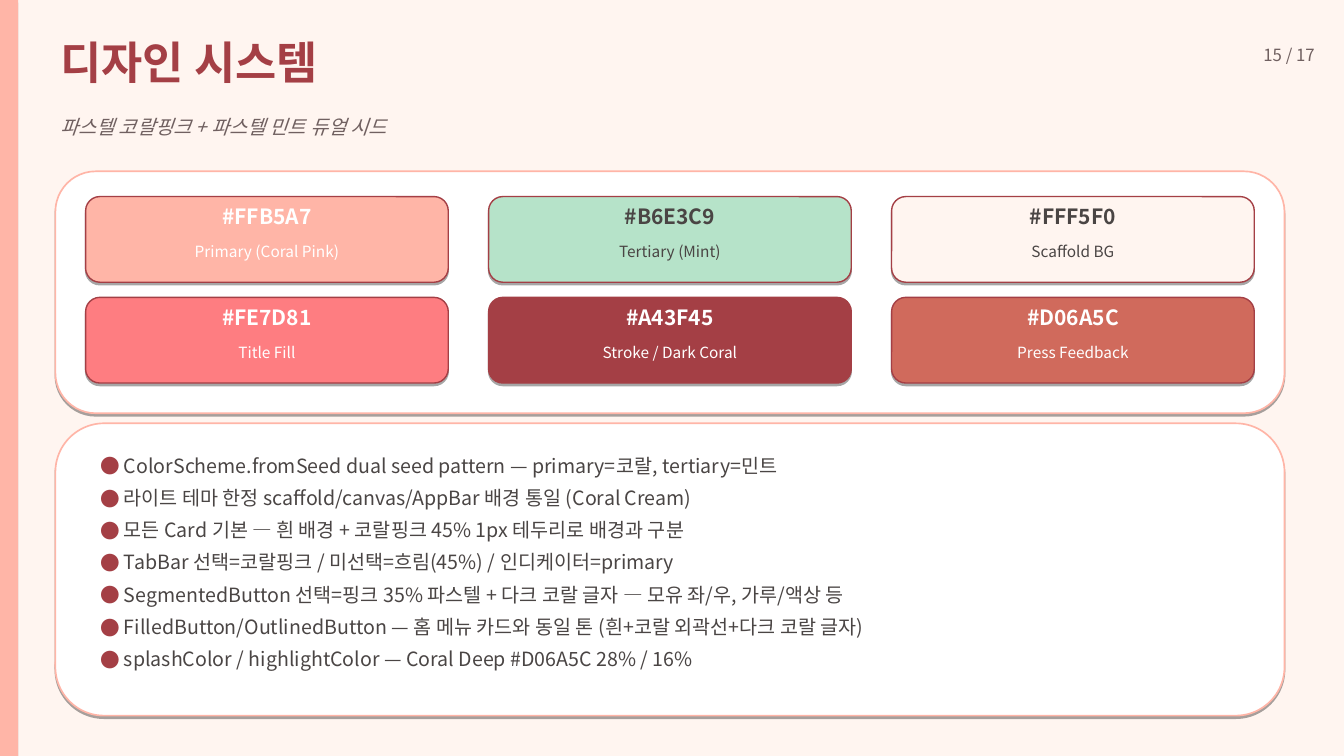
from dataclasses import dataclass

from lxml.etree import SubElement
from pptx import Presentation
from pptx.dml.color import RGBColor
from pptx.enum.shapes import MSO_SHAPE
from pptx.enum.text import MSO_ANCHOR, MSO_AUTO_SIZE, PP_ALIGN
from pptx.oxml.ns import qn
from pptx.util import Inches, Pt


@dataclass(frozen=True)
class Theme:
    """Colours, font and type sizes of the deck."""
    font: str = "Noto Sans CJK KR"
    cream: str = "FFF5F0"
    pink: str = "FFB5A7"
    mint: str = "B6E3C9"
    title_fill: str = "FE7D81"
    dark_coral: str = "A43F45"
    press: str = "D06A5C"
    white: str = "FFFFFF"
    ink: str = "4A4544"
    muted: str = "706060"
    shadow: str = "000000"
    title_size: float = 32
    code_size: float = 15
    body_size: float = 14
    page_size: float = 12
    role_size: float = 11


class DesignSlide:
    """Draws themed elements on the current slide."""

    def __init__(self, deck, theme):
        """Add a title-only slide with the theme background."""
        self.theme = theme
        self.slide = deck.slides.add_slide(deck.slide_layouts[5])
        self.slide.background.fill.solid()
        self.slide.background.fill.fore_color.rgb = RGBColor.from_string(theme.cream)

    def place(self, shape, left, top, width, height):
        """Set the position and size of a shape in inches."""
        shape.left, shape.top = Inches(left), Inches(top)
        shape.width, shape.height = Inches(width), Inches(height)

    def frame(self, shape, inset_y=0.02):
        """Prepare a text frame and return it."""
        frame = shape.text_frame
        frame.word_wrap = True
        frame.auto_size = MSO_AUTO_SIZE.SHAPE_TO_FIT_TEXT
        frame.vertical_anchor = MSO_ANCHOR.TOP
        frame.margin_left = frame.margin_right = Inches(0.05)
        frame.margin_top = frame.margin_bottom = Inches(inset_y)
        return frame

    def add_text(self, paragraph, text, size, colour, bold=False, italic=False):
        """Add one styled run to a paragraph."""
        run = paragraph.add_run()
        run.text = text
        font = run.font
        font.name, font.size = self.theme.font, Pt(size)
        font.bold, font.italic = bold, italic
        font.color.rgb = RGBColor.from_string(colour)
        SubElement(font._element, qn("a:ea"), typeface=self.theme.font)

    def title(self, text, *box):
        """Fill and move the title placeholder."""
        heading = self.slide.shapes.title
        self.place(heading, *box)
        paragraph = self.frame(heading).paragraphs[0]
        paragraph.alignment = PP_ALIGN.LEFT
        self.add_text(paragraph, text, self.theme.title_size, self.theme.dark_coral, bold=True)

    def label(self, text, box, size, colour, align=PP_ALIGN.LEFT, **style):
        """Add a one-line text box."""
        holder = self.slide.shapes.add_textbox(*map(Inches, box))
        paragraph = self.frame(holder).paragraphs[0]
        paragraph.alignment = align
        self.add_text(paragraph, text, size, colour, **style)

    def panel(self, kind, box, fill, line=None, weight=1.0):
        """Add a filled shape with a drop shadow."""
        panel = self.slide.shapes.add_shape(kind, *map(Inches, box))
        panel.fill.solid()
        panel.fill.fore_color.rgb = RGBColor.from_string(fill)
        if line:
            panel.line.color.rgb = RGBColor.from_string(line)
            panel.line.width = Pt(weight)
        else:
            panel.line.fill.background()
        panel.shadow.inherit = False
        effects = panel._element.spPr.find(qn("a:effectLst"))
        shadow = SubElement(effects, qn("a:outerShdw"), blurRad="0",
                            dist=str(Pt(1.8)), dir="5400000", rotWithShape="0")
        tone = SubElement(shadow, qn("a:srgbClr"), val=self.theme.shadow)
        SubElement(tone, qn("a:alpha"), val="35000")

    def card(self, *box):
        """Add a white rounded card with a pink outline."""
        self.panel(MSO_SHAPE.ROUNDED_RECTANGLE, box, self.theme.white, self.theme.pink, 1.19)

    def swatch(self, left, top, colour, role, text_colour):
        """Add a colour sample with its code and role."""
        width = 3.6
        self.panel(MSO_SHAPE.ROUNDED_RECTANGLE, (left, top, width, 0.85),
                   colour, self.theme.dark_coral)
        self.label(f"#{colour}", (left, top + 0.05, width, 0.29), self.theme.code_size,
                   text_colour, PP_ALIGN.CENTER, bold=True)
        self.label(role, (left, top + 0.43, width, 0.22), self.theme.role_size,
                   text_colour, PP_ALIGN.CENTER)

    def bullets(self, items, *box):
        """Add a list with coral dots."""
        holder = self.slide.shapes.add_textbox(*map(Inches, box))
        frame = self.frame(holder, inset_y=0.05)
        for index, item in enumerate(items):
            paragraph = frame.add_paragraph() if index else frame.paragraphs[0]
            paragraph.space_after = Pt(6.2)
            props = paragraph._p.get_or_add_pPr()
            props.set("marL", str(Inches(0.23)))
            props.set("indent", str(-Inches(0.23)))
            dot_colour = SubElement(props, qn("a:buClr"))
            SubElement(dot_colour, qn("a:srgbClr"), val=self.theme.dark_coral)
            SubElement(props, qn("a:buFont"), typeface=self.theme.font)
            SubElement(props, qn("a:buChar"), char="●")
            self.add_text(paragraph, item, self.theme.body_size, self.theme.ink)


def main():
    """Build the design system slide and save it."""
    theme = Theme()
    deck = Presentation()
    deck.slide_width, deck.slide_height = Inches(13.34), Inches(7.5)
    page = DesignSlide(deck, theme)

    page.panel(MSO_SHAPE.RECTANGLE, (0, 0, 0.18, 7.5), theme.pink)
    page.title("디자인 시스템", 0.55, 0.32, 9, 0.57)
    page.label("파스텔 코랄핑크 + 파스텔 민트 듀얼 시드", (0.55, 1.12, 9, 0.27),
               theme.body_size, theme.muted, italic=True)
    page.label("15 / 17", (11.4, 0.42, 1.7, 0.24), theme.page_size, theme.muted, PP_ALIGN.RIGHT)

    page.card(0.55, 1.7, 12.2, 2.4)
    swatches = [
        (theme.pink, "Primary (Coral Pink)", theme.white),
        (theme.mint, "Tertiary (Mint)", theme.ink),
        (theme.cream, "Scaffold BG", theme.ink),
        (theme.title_fill, "Title Fill", theme.white),
        (theme.dark_coral, "Stroke / Dark Coral", theme.white),
        (theme.press, "Press Feedback", theme.white),
    ]
    for index, (colour, role, text_colour) in enumerate(swatches):
        row, column = divmod(index, 3)
        page.swatch(0.85 + 4 * column, 1.95 + row, colour, role, text_colour)

    page.card(0.55, 4.2, 12.2, 2.9)
    page.bullets([
        "ColorScheme.fromSeed dual seed pattern — primary=코랄, tertiary=민트",
        "라이트 테마 한정 scaffold/canvas/AppBar 배경 통일 (Coral Cream)",
        "모든 Card 기본 — 흰 배경 + 코랄핑크 45% 1px 테두리로 배경과 구분",
        "TabBar 선택=코랄핑크 / 미선택=흐림(45%) / 인디케이터=primary",
        "SegmentedButton 선택=핑크 35% 파스텔 + 다크 코랄 글자 — 모유 좌/우, 가루/액상 등",
        "FilledButton/OutlinedButton — 홈 메뉴 카드와 동일 톤 (흰+코랄 외곽선+다크 코랄 글자)",
        "splashColor / highlightColor — Coral Deep #D06A5C 28% / 16%",
    ], 0.95, 4.45, 11.4, 2.25)

    deck.save("out.pptx")


if __name__ == "__main__":
    main()
